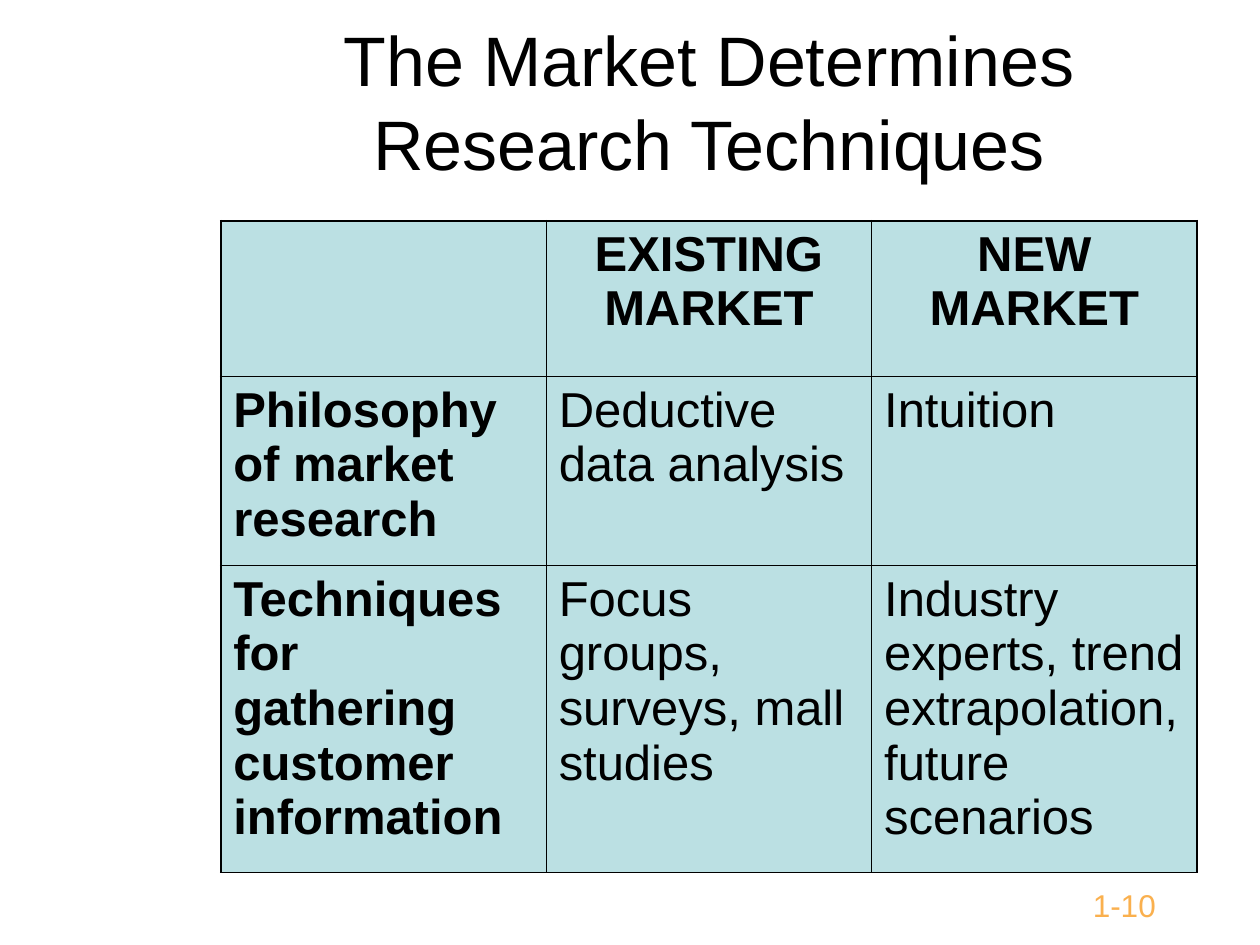
from lxml import etree
from pptx import Presentation
from pptx.dml.color import RGBColor
from pptx.enum.text import MSO_ANCHOR, PP_ALIGN
from pptx.oxml.ns import qn
from pptx.util import Cm, Pt

LEFT, CENTER = PP_ALIGN.LEFT, PP_ALIGN.CENTER
MIDDLE, BOTTOM = MSO_ANCHOR.MIDDLE, MSO_ANCHOR.BOTTOM

BLACK, ORANGE, PALE_BLUE = "000000", "FAB04E", "BBE0E3"
OUTER_LINE, INNER_LINE = 1.08, 0.45

ROWS = [
    ["", "EXISTING MARKET", "NEW MARKET"],
    ["Philosophy of market research", "Deductive data analysis", "Intuition"],
    [
        "Techniques for gathering customer information",
        "Focus groups, surveys, mall studies",
        "Industry experts, trend extrapolation, future scenarios",
    ],
]
ROW_HEIGHTS = [3.14, 3.81, 6.18]
COLUMN_WIDTH = 6.56


def color(value):
    return RGBColor.from_string(value)


class SlideBuilder:
    font = "Arial"

    def __init__(self, page):
        self.page = page

    def fill_text(self, frame, text, size, ink=BLACK, bold=False, **paragraph_format):
        para = frame.paragraphs[0]
        for name, value in paragraph_format.items():
            setattr(para, name, value)
        span = para.add_run()
        span.text = text
        span.font.color.rgb = color(ink)
        for name, value in {"name": self.font, "size": Pt(size), "bold": bold}.items():
            setattr(span.font, name, value)

    def text_box(self, left, top, width, height, text, size, anchor, margin, **style):
        box = self.page.shapes.add_textbox(Cm(left), Cm(top), Cm(width), Cm(height))
        frame = box.text_frame
        settings = {
            "word_wrap": True,
            "vertical_anchor": anchor,
            "margin_left": Cm(margin),
            "margin_right": Cm(margin),
            "margin_top": Cm(0.13),
            "margin_bottom": Cm(0.13),
        }
        for name, value in settings.items():
            setattr(frame, name, value)
        self.fill_text(frame, text, size, **style)

    def borders(self, cell, widths):
        properties = cell._tc.get_or_add_tcPr()
        # Border lines come before the fill in the cell properties
        for index, (side, width) in enumerate(widths.items()):
            line = etree.Element(qn(f"a:ln{side}"), w=str(Pt(width)))
            fill = etree.SubElement(line, qn("a:solidFill"))
            etree.SubElement(fill, qn("a:srgbClr"), val=BLACK)
            properties.insert(index, line)

    def table(self, left, top, rows, heights, column_width, size):
        last_row, last_column = len(rows) - 1, len(rows[0]) - 1
        table = self.page.shapes.add_table(
            len(rows), len(rows[0]), Cm(left), Cm(top),
            Cm(column_width * len(rows[0])), Cm(sum(heights)),
        ).table
        for column in table.columns:
            column.width = Cm(column_width)
        for r, (texts, height) in enumerate(zip(rows, heights)):
            table.rows[r].height = Cm(height)
            for c, text in enumerate(texts):
                cell = table.cell(r, c)
                cell.fill.solid()
                cell.fill.fore_color.rgb = color(PALE_BLUE)
                on_edge = {"L": c == 0, "R": c == last_column,
                           "T": r == 0, "B": r == last_row}
                self.borders(cell, {side: OUTER_LINE if edge else INNER_LINE
                                    for side, edge in on_edge.items()})
                if text:
                    self.fill_text(cell.text_frame, text, size, bold=r == 0 or c == 0,
                                   alignment=CENTER if r == 0 else LEFT)


def main():
    deck = Presentation()
    deck.slide_width, deck.slide_height = Cm(25.4), Cm(19.05)
    builder = SlideBuilder(deck.slides.add_slide(deck.slide_layouts[6]))

    # Page number
    builder.text_box(21.9, 16.94, 3.5, 1.81, "1-10", 18, BOTTOM, 0.13,
                     ink=ORANGE, line_spacing=Pt(44))

    # Title
    builder.text_box(4.45, 0.43, 19.68, 3.18, "The Market Determines Research Techniques",
                     40, MIDDLE, 0.25, alignment=CENTER)

    # Comparison of market types
    builder.table(4.45, 4.45, ROWS, ROW_HEIGHTS, COLUMN_WIDTH, 28)

    deck.save("out.pptx")


if __name__ == "__main__":
    main()
